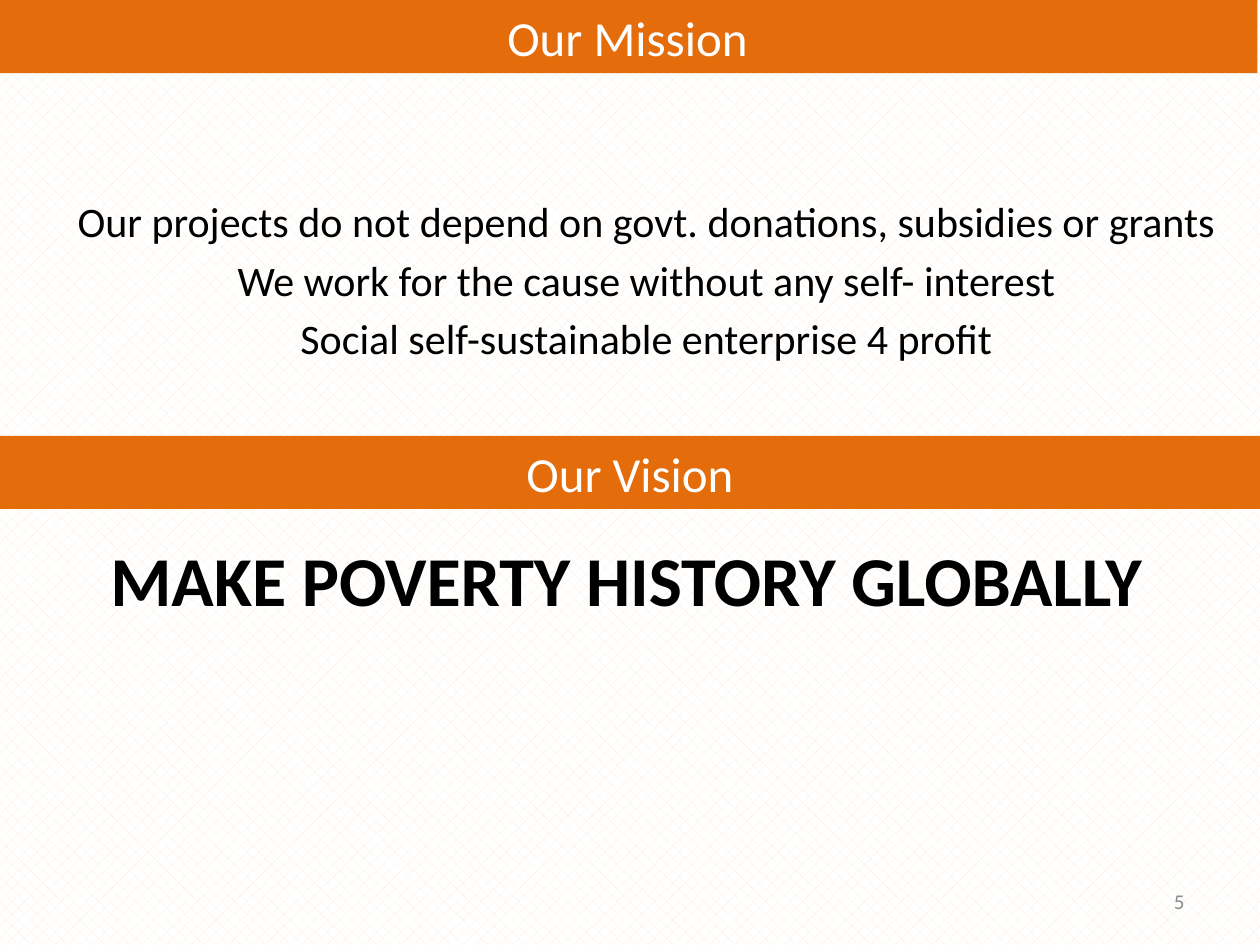
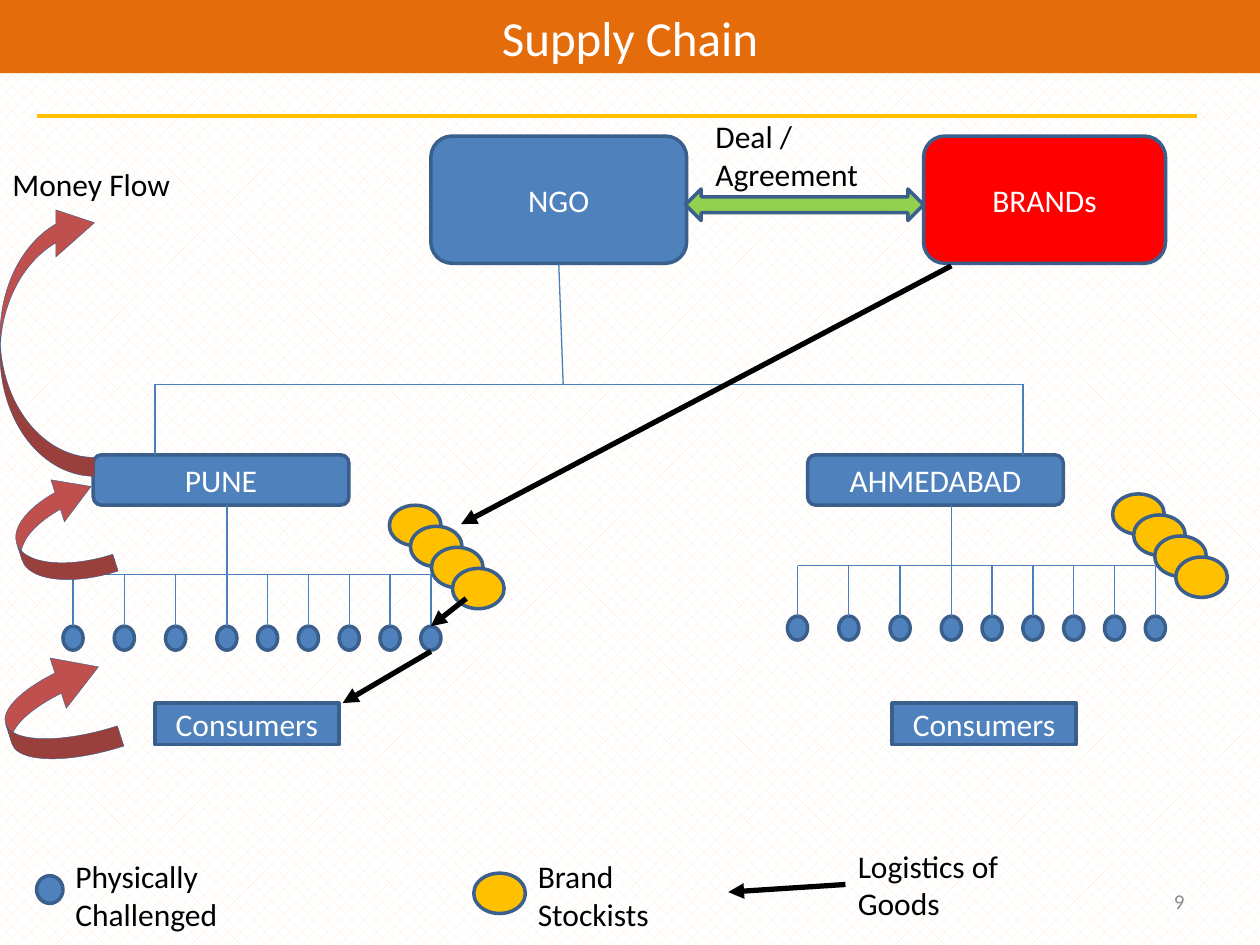
from lxml import etree
from pptx import Presentation
from pptx.dml.color import RGBColor as RGB
from pptx.enum.dml import MSO_PATTERN
from pptx.enum.shapes import MSO_CONNECTOR, MSO_SHAPE as SHP
from pptx.enum.text import MSO_ANCHOR as ANC, MSO_AUTO_SIZE, PP_ALIGN as AL
from pptx.oxml.ns import qn
from pptx.util import Inches, Pt

COLORS = {
    "band": "E46C0A", "tint": "FDEADA", "white": "FFFFFF", "black": "000000",
    "grey": "8C8C8C", "blue": "4F81BD", "edge": "3A5F8C", "link": "4B7EBC",
    "gold": "FFC000", "red": "FF0000", "green": "92D050", "brick": "C0504D",
}
C = {name: RGB.from_string(value) for name, value in COLORS.items()}

prs = Presentation()
prs.slide_width, prs.slide_height = Inches(10), Inches(7.5)
CELL = prs.slide_width // 100  # grid of 100 columns by 75 rows


def write(sp, lines, align=AL.CENTER, anchor=ANC.MIDDLE, size=18, color="white", bold=False):
    tf = sp.text_frame
    frame = {"text": "\n".join(lines), "word_wrap": True,
             "auto_size": MSO_AUTO_SIZE.NONE, "vertical_anchor": anchor}
    for key, value in frame.items():
        setattr(tf, key, value)
    for p in tf.paragraphs:
        p.alignment = align
        for r in p.runs:
            for key, value in {"name": "Calibri", "size": Pt(size), "bold": bold}.items():
                setattr(r.font, key, value)
            r.font.color.rgb = C[color]


def draw(s, kind, at, fill, edge=2, text="", size=18):
    sp = s.shapes.add_shape(kind, *[int(v * CELL) for v in at])
    sp.shadow.inherit = False
    sp.fill.solid()
    sp.fill.fore_color.rgb = C[fill]
    if edge:
        sp.line.color.rgb = C["edge"]
        sp.line.width = Pt(edge)
    else:
        sp.line.fill.background()
    if text:
        write(sp, [text], size=size)
    return sp


# Shared background and title band
mission = prs.slides.add_slide(prs.slide_layouts[1])
chain = prs.slides.add_slide(prs.slide_layouts[5])
for s, title, left in [(mission, "Our Mission", -0.2), (chain, "Supply Chain", 0)]:
    fill = s.background.fill
    fill.patterned()
    fill.pattern = MSO_PATTERN.PERCENT_30
    fill.fore_color.rgb, fill.back_color.rgb = C["tint"], C["white"]
    sp = s.shapes.title
    sp.left, sp.top, sp.width, sp.height = [int(v * CELL) for v in (left, 0, 100, 5.8)]
    sp.fill.solid()
    sp.fill.fore_color.rgb = C["band"]
    write(sp, [title], size=28)

# Mission statements and vision band
body = mission.placeholders[1]
body.left, body.top, body.width, body.height = [int(v * CELL) for v in (4.2, 15, 94.2, 23.3)]
write(body, ["Our projects do not depend on govt. donations, subsidies or grants",
             "We work for the cause without any self- interest",
             "Social self-sustainable enterprise 4 profit"],
      anchor=ANC.TOP, size=24, color="black")
for p in body.text_frame.paragraphs:
    pPr = p._p.get_or_add_pPr()
    pPr.set("marL", "0")
    pPr.set("indent", "0")
    etree.SubElement(pPr, qn("a:buNone"))
draw(mission, SHP.RECTANGLE, (0, 34.6, 100, 5.8), "band", 0, "Our Vision", 28)

# Organisations at the top of the chain
ngo = draw(chain, SHP.ROUNDED_RECTANGLE, (34.2, 10.8, 20.3, 10.1), "blue", text="NGO")
draw(chain, SHP.ROUNDED_RECTANGLE, (73.3, 10.8, 19.2, 10.1), "red", text="BRANDs")

# Lines as x1, y1, x2, y2, colour, width, arrowhead
lines = [(2.9, 9.2, 95, 9.2, "gold", 2.25, False),
         (12.3, 30.5, 81.2, 30.5, "link", 0.75, False)]

# Each city: office, bus line, nine people, four stockists, consumers
people = [4.07 * i for i in range(4)] + [12.2 + 3.24 * i for i in range(1, 6)]
cities = [("PUNE", 7.4, 12.3, 5.8, 45.6, 49.7, 30.9, 40.1, 12.3),
          ("AHMEDABAD", 64.1, 81.2, 63.3, 44.9, 48.9, 88.3, 39.2, 70.8)]
for city, office, drop, bus, bus_y, people_y, stock_x, stock_y, buyers in cities:
    draw(chain, SHP.ROUNDED_RECTANGLE, (office, 36.1, 20.3, 4), "blue", text=city)
    draw(chain, SHP.RECTANGLE, (buyers, 55.8, 14.6, 3.3), "blue", text="Consumers")
    middle = bus + people[3]
    lines += [(*ends, "link", 0.75, False) for ends in [
        (drop, 30.5, drop, 36.1),
        (middle, 40.1, middle, bus_y),
        (bus, bus_y, bus + people[-1], bus_y)]]
    for step in people:
        x = bus + step
        lines.append((x, bus_y, x, people_y, "link", 0.75, False))
        draw(chain, SHP.OVAL, (x - 0.8, people_y, 1.6, 1.9), "blue")
    for i in range(4):
        draw(chain, SHP.OVAL, (stock_x + 1.67 * i, stock_y + 1.67 * i, 4.1, 3.2), "gold")

# Goods arrows, the last one in the legend
lines += [(*ends, "black", 3, True) for ends in [
    (75.5, 21.1, 36.6, 41.6), (37, 47.5, 34.2, 49.7),
    (34.2, 51.7, 27.2, 55.8), (67.1, 70.2, 57.8, 70.8)]]
lines.append((44.3, 20.9, 44.7, 30.5, "link", 0.75, False))
for *ends, color, width, arrow in lines:
    link = chain.shapes.add_connector(MSO_CONNECTOR.STRAIGHT, *[int(v * CELL) for v in ends])
    link.line.color.rgb = C[color]
    link.line.width = Pt(width)
    spPr = link._element.spPr
    if arrow:
        etree.SubElement(spPr.find(qn("a:ln")), qn("a:tailEnd"), type="triangle")
    etree.SubElement(spPr, qn("a:effectLst"))
link.begin_connect(ngo, 2)

# Agreement and money flow arrows
draw(chain, SHP.LEFT_RIGHT_ARROW, (54.4, 15, 18.9, 2.5), "green")
for at, turn in [((0.3, 52, 8.4, 8.7), 162.2), ((1.2, 37.8, 7, 8.8), 162.2),
                 ((0, 15.8, 7.5, 22), 180)]:
    sp = draw(chain, SHP.CURVED_LEFT_ARROW, at, "brick", 0.25)
    sp.rotation = turn
    for i, value in enumerate((0.2, 0.5, 0.41)):
        sp.adjustments[i] = value

# Legend symbols
draw(chain, SHP.OVAL, (2.9, 69.5, 2.1, 2.2), "blue")
draw(chain, SHP.OVAL, (37.6, 69.3, 4.1, 3.2), "gold")

# Free text: labels, slogan and page numbers
label = {"align": AL.LEFT, "anchor": ANC.TOP, "color": "black"}
slogan = {"anchor": ANC.TOP, "size": 40, "color": "black", "bold": True}
number = {"align": AL.RIGHT, "size": 12, "color": "grey"}
for s, text, at, style in [
        (mission, "MAKE POVERTY HISTORY GLOBALLY", (7.2, 42.1, 85, 7.7), slogan),
        (mission, "5", (71.7, 69.5, 23.3, 4), number),
        (chain, "9", (71.7, 69.5, 23.3, 4), number),
        (chain, "Money Flow", (0, 12.6, 15.9, 4), label),
        (chain, "Deal / Agreement", (55.8, 8.8, 15.9, 7.1), label),
        (chain, "Physically Challenged", (5, 67.5, 14.6, 7.1), label),
        (chain, "Brand Stockists", (41.7, 67.5, 14.6, 7.1), label),
        (chain, "Logistics of Goods", (67.1, 66.7, 14.6, 7.1), label)]:
    sp = s.shapes.add_textbox(*[int(v * CELL) for v in at])
    write(sp, [text], **style)

prs.save("out.pptx")
